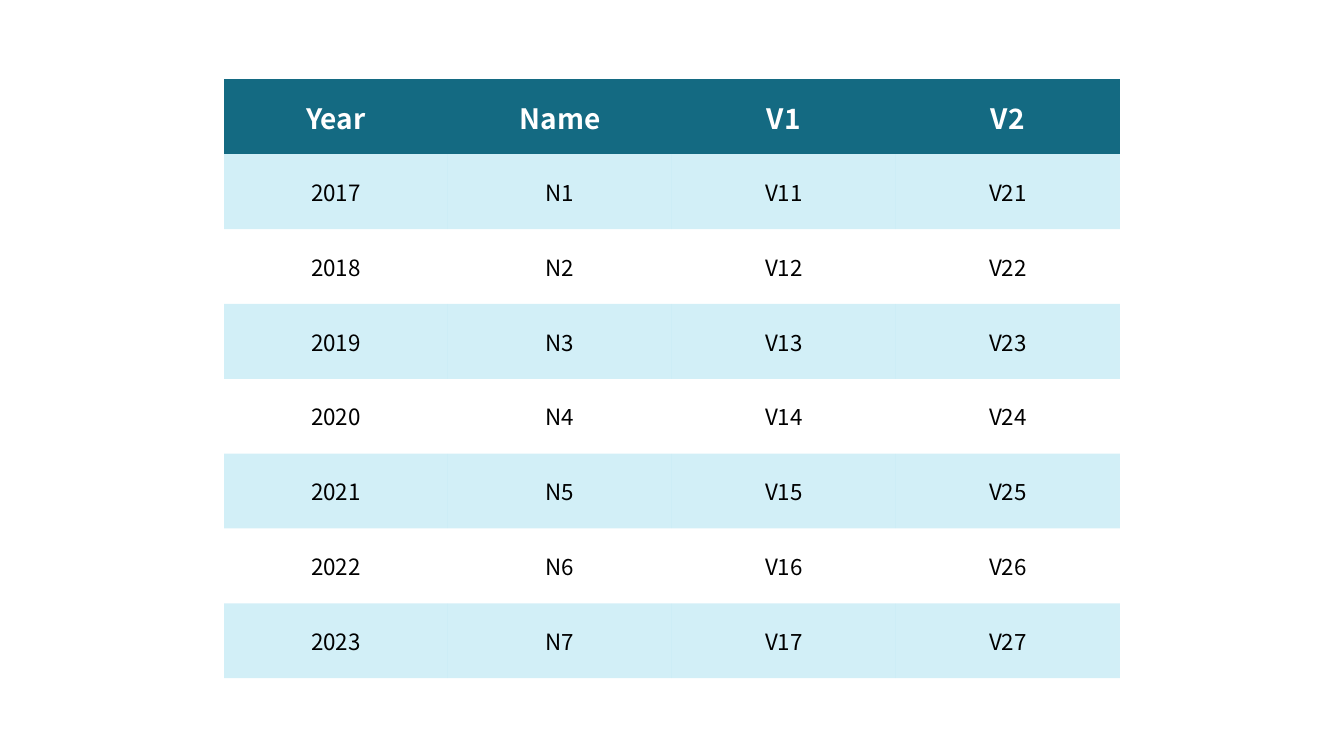
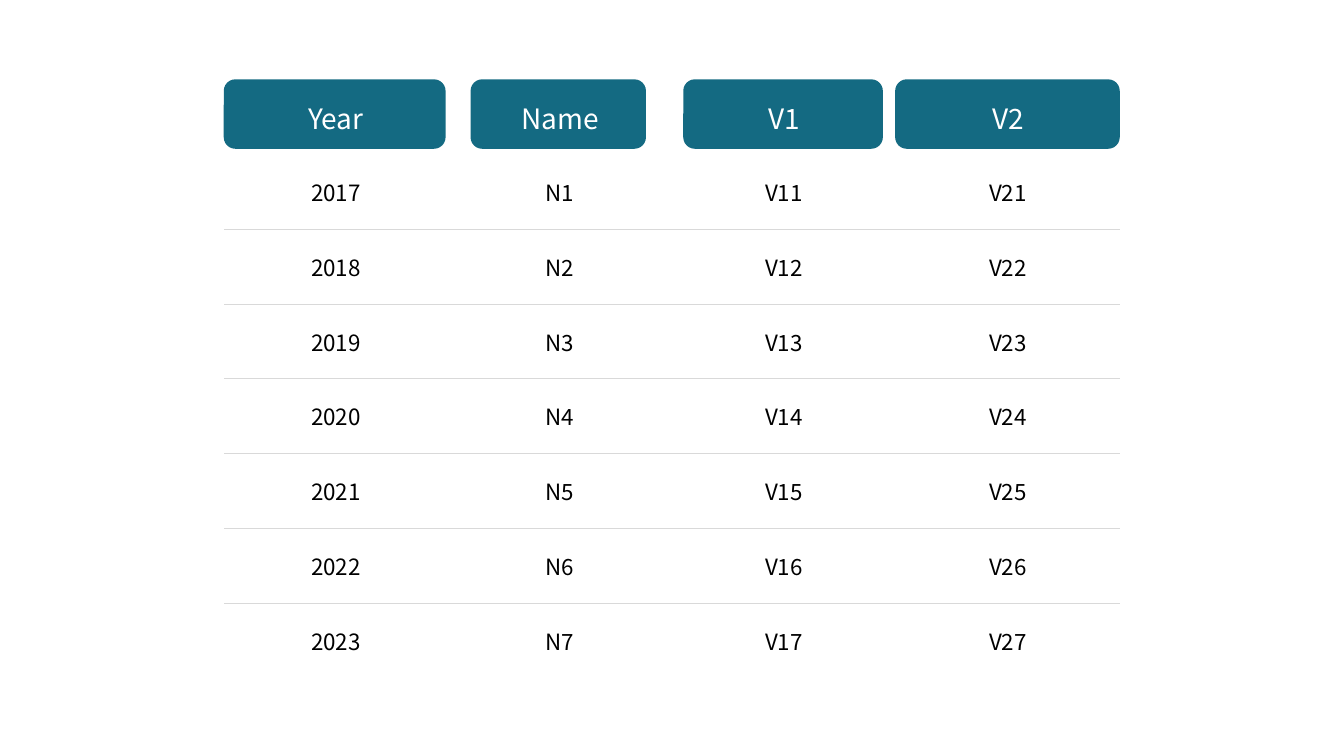
import pptx
import pptx.util
import pptx.dml.color
import pptx.enum.shapes
import pptx.enum.text
import pptx.oxml.ns
import lxml.etree

Cm = pptx.util.Cm
Pt = pptx.util.Pt
RGBColor = pptx.dml.color.RGBColor
qn = pptx.oxml.ns.qn

HEADS = ["Year", "Name", "V1", "V2"]
ROWS = [[str(2016 + n), f"N{n}", f"V1{n}", f"V2{n}"] for n in range(1, 8)]
# Left edge and width of each header pill, in centimetres
PILLS = [(5.64, 5.59), (11.86, 4.42), (17.22, 5.03), (22.56, 5.66)]

FONT = "Noto Sans CJK KR"
TEAL = RGBColor(0x14, 0x6A, 0x82)
AQUA = RGBColor(0x22, 0xB2, 0xDA)
GREY = RGBColor(0xD9, 0xD9, 0xD9)
WHITE = RGBColor(0xFF, 0xFF, 0xFF)
BLACK = RGBColor(0, 0, 0)
PLAIN = "{2D5ABB26-0587-4C30-8999-92F81FD0307C}"  # no style, no grid

WIDE, HIGH = Cm(33.87), Cm(19.05)
TOP = Cm(2)
GRID_W, GRID_H = Cm(22.58), Cm(15.09)
PILL_H = Cm(1.75)


def write(cell, text, size, color, bold):
    cell.vertical_anchor = pptx.enum.text.MSO_ANCHOR.MIDDLE
    para = cell.text_frame.paragraphs[0]
    para.alignment = pptx.enum.text.PP_ALIGN.CENTER
    run = para.add_run()
    run.text = text
    font = run.font
    font.name, font.size, font.bold = FONT, Pt(size), bold
    font.color.rgb = color


def paint(cell, color, alpha=None):
    """Fill a cell; alpha is its opacity in percent."""
    cell.fill.solid()
    cell.fill.fore_color.rgb = color
    if alpha:
        tint = cell._tc.tcPr.find(".//" + qn("a:srgbClr"))
        lxml.etree.SubElement(tint, qn("a:alpha"), val=str(alpha * 1000))


def rule(cell):
    """Draw a thin line under a cell."""
    line = lxml.etree.Element(qn("a:lnB"), w=str(Pt(0.5)))
    fill = lxml.etree.SubElement(line, qn("a:solidFill"))
    lxml.etree.SubElement(fill, qn("a:srgbClr"), val=str(GREY))
    cell._tc.get_or_add_tcPr().insert(0, line)


def add_grid(slide, bold, dress):
    """Add the table; dress(cell, row) styles each cell's ground and edges."""
    data = [HEADS] + ROWS
    frame = slide.shapes.add_table(
        len(data), len(HEADS), (WIDE - GRID_W) // 2, TOP, GRID_W, GRID_H)
    table = frame.table
    table.first_row = table.horz_banding = False
    table._tbl.tblPr.find(qn("a:tableStyleId")).text = PLAIN
    for row, texts in enumerate(data):
        for col, text in enumerate(texts):
            cell = table.cell(row, col)
            if row == 0:
                write(cell, text, 20, WHITE, bold)
            else:
                write(cell, text, 16, BLACK, False)
            dress(cell, row)


def band(cell, row):
    if row == 0:
        paint(cell, TEAL)
    elif row % 2:
        paint(cell, AQUA, 20)
    else:
        cell.fill.background()


def lined(cell, row):
    cell.fill.background()
    if 0 < row < len(ROWS):
        rule(cell)


def add_pills(slide):
    kind = pptx.enum.shapes.MSO_SHAPE.ROUNDED_RECTANGLE
    for left, width in PILLS:
        pill = slide.shapes.add_shape(kind, Cm(left), TOP, Cm(width), PILL_H)
        pill.shadow.inherit = False
        pill.fill.solid()
        pill.fill.fore_color.rgb = TEAL
        pill.line.fill.background()


def main():
    deck = pptx.Presentation()
    deck.slide_width, deck.slide_height = WIDE, HIGH
    blank = deck.slide_layouts[6]

    add_grid(deck.slides.add_slide(blank), True, band)

    slide = deck.slides.add_slide(blank)
    add_pills(slide)
    add_grid(slide, False, lined)

    deck.save("out.pptx")


if __name__ == "__main__":
    main()
